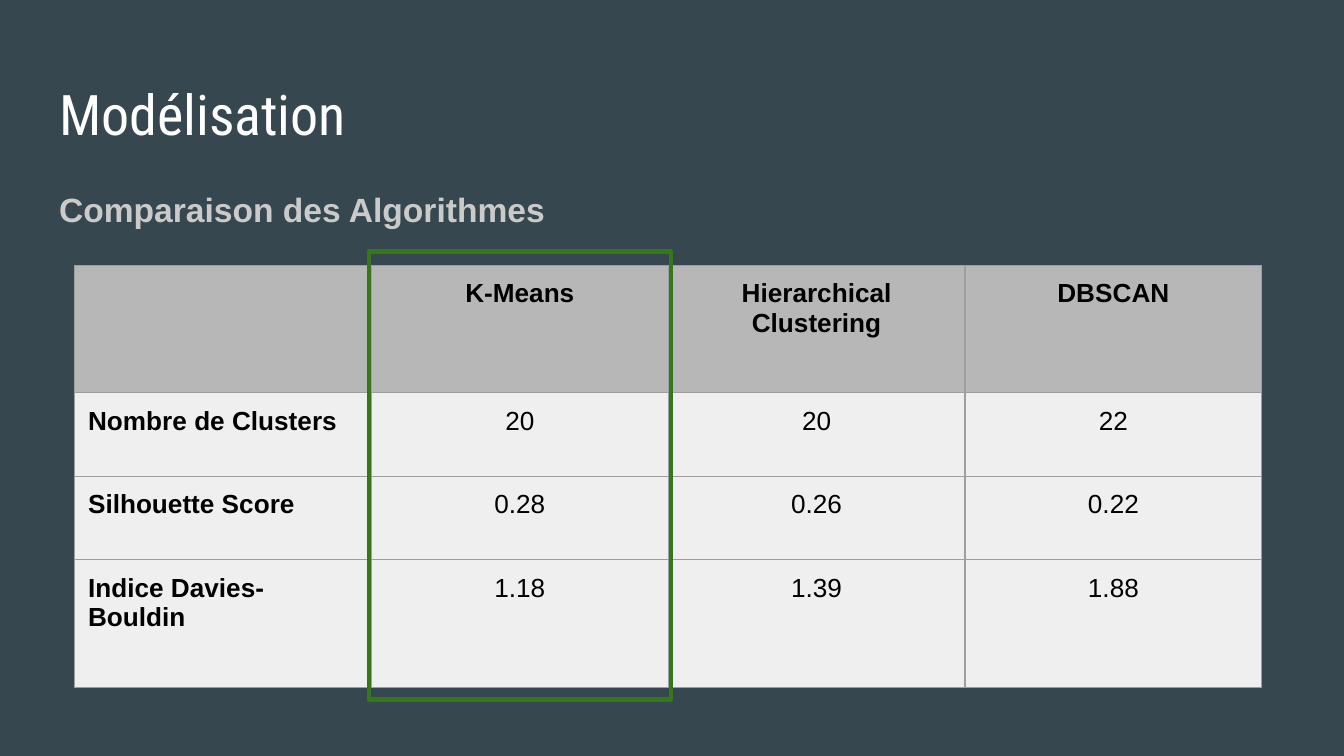
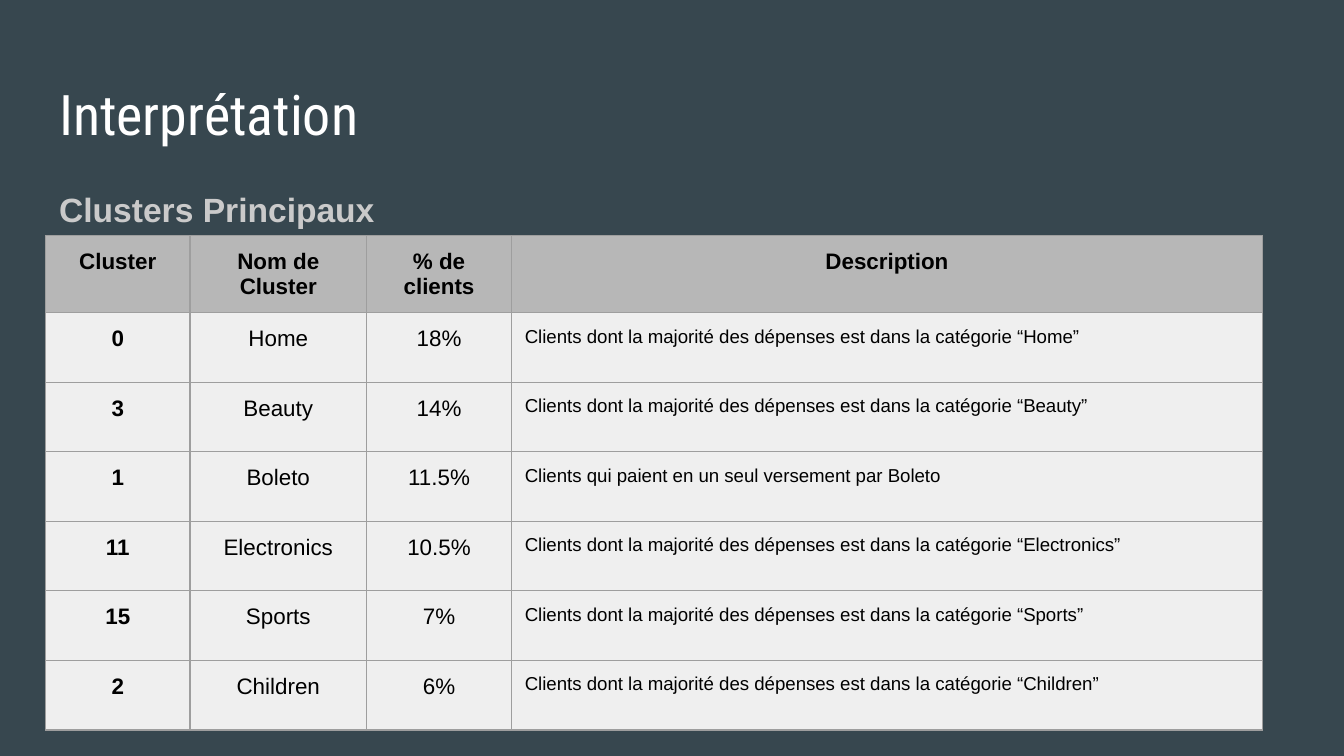
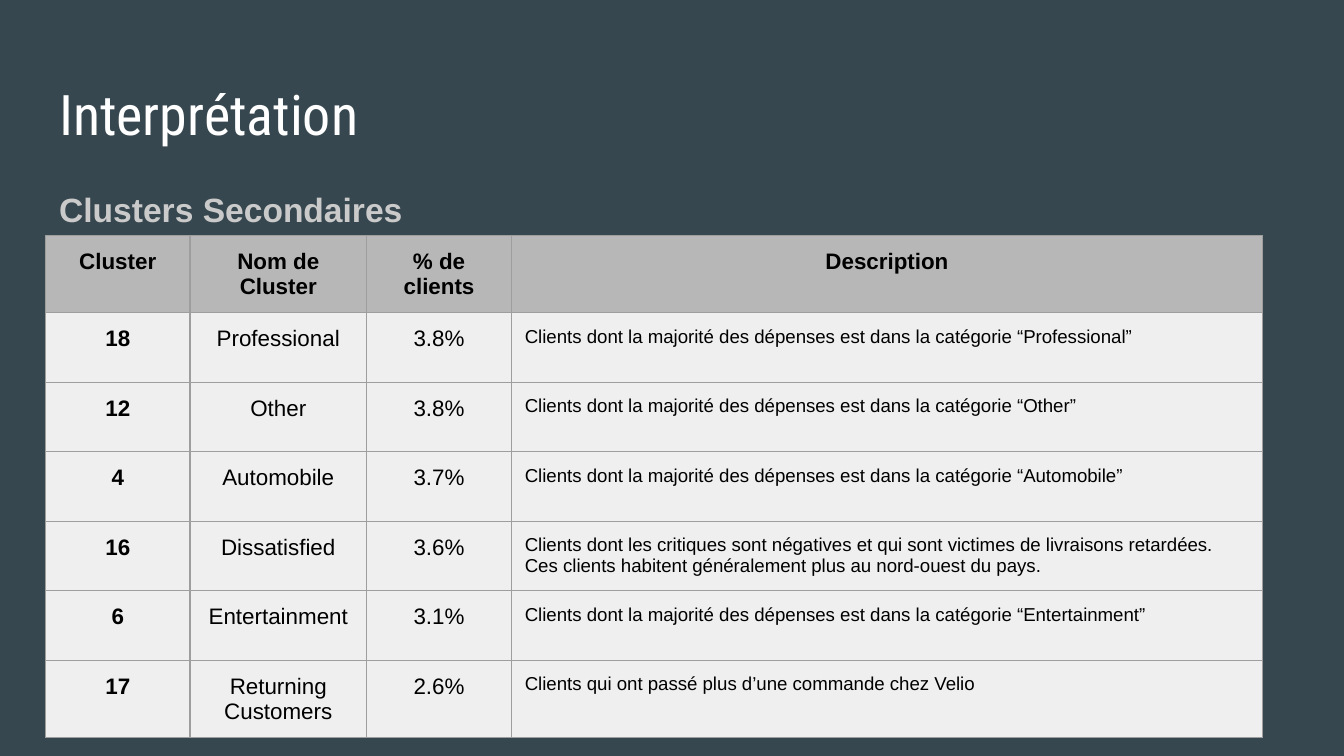
from collections import namedtuple

from lxml import etree
from pptx import Presentation
from pptx.dml.color import RGBColor
from pptx.enum import shapes, text
from pptx.oxml.ns import qn
from pptx.util import Pt

BACKGROUND = RGBColor(0x37, 0x47, 0x4F)
TITLE_WHITE = RGBColor(0xFF, 0xFF, 0xFF)
SUBTITLE_GREY = RGBColor(0xCA, 0xCA, 0xCA)
HEADER_FILL = RGBColor(0xB7, 0xB7, 0xB7)
ROW_FILL = RGBColor(0xEF, 0xEF, 0xEF)
CELL_TEXT = RGBColor(0x00, 0x00, 0x00)
BORDER_GREY = RGBColor(0x9E, 0x9E, 0x9E)
HIGHLIGHT_GREEN = RGBColor(0x38, 0x76, 0x1D)

TITLE_FONT, BODY_FONT = "Roboto Condensed", "Arial"
INSET = 7.2
LEFT, CENTER = text.PP_ALIGN.LEFT, text.PP_ALIGN.CENTER

Box = namedtuple("Box", "left top width height")
TITLE_BOX = Box(24.5, 35.25, 671, 45.5)
SUBTITLE_BOX = Box(24.5, 91, 671, 35.25)
COMPARISON_BOX = Box(40, 142.25, 636, 226)
CLUSTER_BOX = Box(24.5, 126.25, 652, 260.75)

COMPARISON_ROWS = [
    ("", "K-Means", "Hierarchical Clustering", "DBSCAN"),
    ("Nombre de Clusters", "20", "20", "22"),
    ("Silhouette Score", "0.28", "0.26", "0.22"),
    ("Indice Davies-Bouldin", "1.18", "1.39", "1.88"),
]
COMPARISON_HEIGHTS = [68.25, 44.75, 44.75, 68.25]

CLUSTER_HEADER = ("Cluster", "Nom de Cluster", "% de clients", "Description")
CLUSTER_WIDTHS = [77.25, 94.75, 77.5, 402.5]
CATEGORY_DESCRIPTION = "Clients dont la majorité des dépenses est dans la catégorie “{}”"
MAIN_CLUSTERS = [
    ("0", "Home", "18%"),
    ("3", "Beauty", "14%"),
    ("1", "Boleto", "11.5%", "Clients qui paient en un seul versement par Boleto"),
    ("11", "Electronics", "10.5%"),
    ("15", "Sports", "7%"),
    ("2", "Children", "6%"),
]
SECONDARY_CLUSTERS = [
    ("18", "Professional", "3.8%"),
    ("12", "Other", "3.8%"),
    ("4", "Automobile", "3.7%"),
    ("16", "Dissatisfied", "3.6%",
     "Clients dont les critiques sont négatives et qui sont victimes de livraisons retardées. "
     "Ces clients habitent généralement plus au nord-ouest du pays."),
    ("6", "Entertainment", "3.1%"),
    ("17", "Returning Customers", "2.6%", "Clients qui ont passé plus d’une commande chez Velio"),
]


def style_paragraph(paragraph, font_name, size, color, bold=False, align=LEFT):
    """Set the font and alignment of a paragraph."""
    paragraph.alignment = align
    font = paragraph.font
    font.name, font.size, font.bold = font_name, Pt(size), bold
    font.color.rgb = color


def set_insets(target):
    """Give a text frame or a cell the shared inner margins."""
    target.margin_left = target.margin_right = Pt(INSET)
    target.margin_top = target.margin_bottom = Pt(INSET)


def fill_placeholder(placeholder, box, wording):
    """Move a placeholder into its box, write its text and return the paragraph."""
    placeholder.left, placeholder.top, placeholder.width, placeholder.height = map(Pt, box)
    frame = placeholder.text_frame
    frame.text = wording
    frame.word_wrap = True
    frame.auto_size = text.MSO_AUTO_SIZE.NONE
    frame.vertical_anchor = text.MSO_ANCHOR.TOP
    set_insets(frame)
    return frame.paragraphs[0]


def add_headed_slide(presentation, title, subtitle):
    """Add a slide with its title and grey subtitle."""
    slide = presentation.slides.add_slide(presentation.slide_layouts[1])
    heading = fill_placeholder(slide.shapes.title, TITLE_BOX, title)
    style_paragraph(heading, TITLE_FONT, 30, TITLE_WHITE)

    paragraph = fill_placeholder(slide.placeholders[1], SUBTITLE_BOX, subtitle)
    properties = paragraph._p.get_or_add_pPr()
    properties.set("marL", "0")
    properties.set("indent", "0")
    etree.SubElement(properties, qn("a:buNone"))
    paragraph.line_spacing = 1.15
    paragraph.space_before, paragraph.space_after = Pt(0), Pt(16)
    style_paragraph(paragraph, BODY_FONT, 18, SUBTITLE_GREY, bold=True)
    return slide


def add_borders(cell):
    """Draw a thin grey line on the four sides of a cell."""
    properties = cell._tc.get_or_add_tcPr()
    for position, side in enumerate(("lnL", "lnR", "lnT", "lnB")):
        line = etree.Element(qn("a:" + side), w=str(Pt(0.75)))
        solid = etree.SubElement(line, qn("a:solidFill"))
        etree.SubElement(solid, qn("a:srgbClr"), val=str(BORDER_GREY))
        properties.insert(position, line)


def add_grid(slide, box, rows, widths, heights, size, left_column, left_size):
    """Add a table with bold header row and first column, and one left-aligned column."""
    frame = slide.shapes.add_table(len(rows), len(widths), *map(Pt, box))
    table = frame.table
    table.first_row = table.horz_banding = False
    for column, width in zip(table.columns, widths):
        column.width = Pt(width)
    for row, height in zip(table.rows, heights):
        row.height = Pt(height)
    for row_index, row in enumerate(rows):
        for column_index, wording in enumerate(row):
            cell = table.cell(row_index, column_index)
            is_header = row_index == 0
            is_left = column_index == left_column and not is_header
            set_insets(cell)
            cell.fill.solid()
            cell.fill.fore_color.rgb = HEADER_FILL if is_header else ROW_FILL
            add_borders(cell)
            if wording:
                cell.text = wording
                style_paragraph(cell.text_frame.paragraphs[0], BODY_FONT,
                                left_size if is_left else size, CELL_TEXT,
                                bold=is_header or column_index == 0,
                                align=LEFT if is_left else CENTER)


def add_highlight(slide, box):
    """Frame the chosen column with a green outline slightly larger than its box."""
    frame = slide.shapes.add_shape(
        shapes.MSO_SHAPE.RECTANGLE, Pt(box.left - 1.5), Pt(box.top - 7.5),
        Pt(box.width + 3), Pt(box.height + 14))
    frame.shadow.inherit = False
    frame.fill.background()
    frame.line.color.rgb = HIGHLIGHT_GREEN
    frame.line.width = Pt(2.25)


def add_comparison_slide(presentation, box):
    """Add the slide that compares the algorithms and marks the first one."""
    slide = add_headed_slide(presentation, "Modélisation", "Comparaison des Algorithmes")
    column_width = box.width / 4
    add_grid(slide, box, COMPARISON_ROWS, [column_width] * 4, COMPARISON_HEIGHTS,
             size=14, left_column=0, left_size=14)
    add_highlight(slide, box._replace(left=box.left + column_width, width=column_width))


def add_cluster_slide(presentation, box, subtitle, clusters):
    """Add a slide that lists clusters with their share and description."""
    slide = add_headed_slide(presentation, "Interprétation", subtitle)
    rows = [CLUSTER_HEADER]
    for number, name, share, *description in clusters:
        rows.append((number, name, share, *(description or [CATEGORY_DESCRIPTION.format(name)])))
    add_grid(slide, box, rows, CLUSTER_WIDTHS, [box.height / len(rows)] * len(rows),
             size=12, left_column=3, left_size=10)


def main():
    """Build and save the presentation."""
    presentation = Presentation()
    presentation.slide_width, presentation.slide_height = Pt(720), Pt(405)
    background = presentation.slide_master.background.fill
    background.solid()
    background.fore_color.rgb = BACKGROUND
    add_comparison_slide(presentation, COMPARISON_BOX)
    add_cluster_slide(presentation, CLUSTER_BOX, "Clusters Principaux", MAIN_CLUSTERS)
    add_cluster_slide(presentation, CLUSTER_BOX, "Clusters Secondaires", SECONDARY_CLUSTERS)
    presentation.save("out.pptx")


if __name__ == "__main__":
    main()
